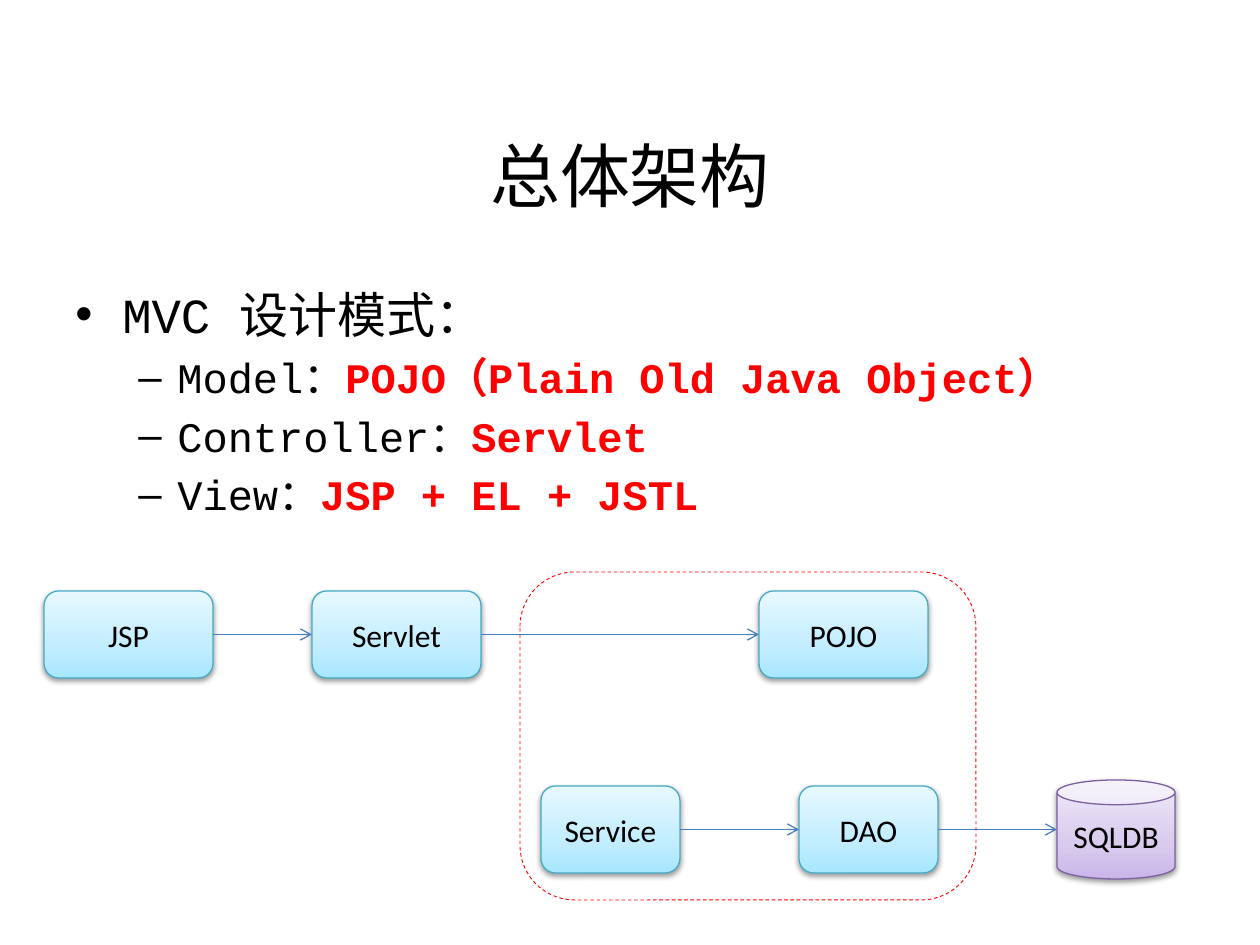
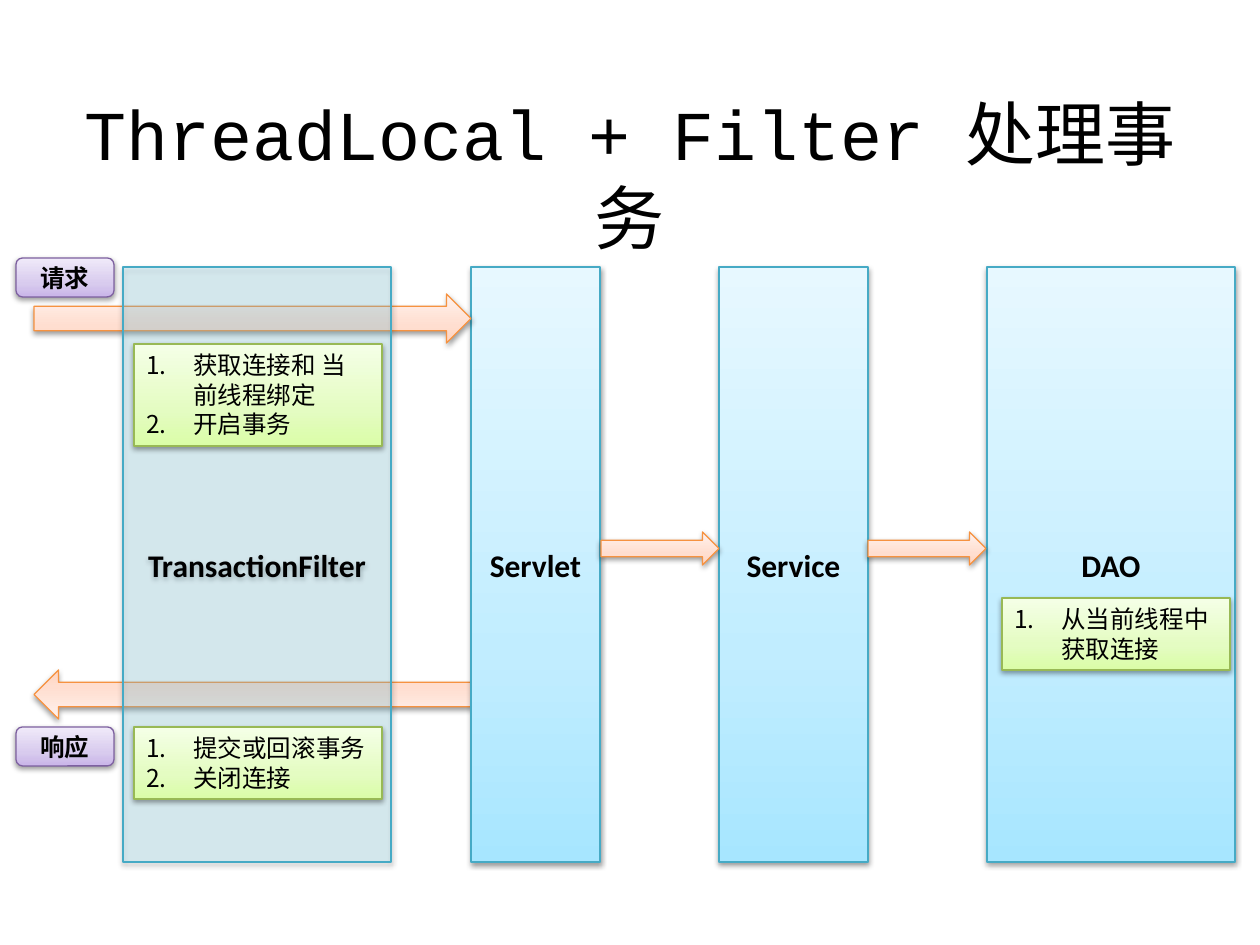
from collections import namedtuple

from lxml import etree
from pptx import Presentation
from pptx import util as u
from pptx.dml import color
from pptx.enum import dml, shapes, text
from pptx.oxml import ns

PX = 914400 / 126
COLORS = {"ink": "000000", "accent": "FF0000", "connector": "4B7EBC", "veil": "9EEAFF"}
PALETTES = {
    "aqua": ("46AAC5", ("A7E6FF", "C1EDFF", "E7F8FF")),
    "purple": ("7D60A0", ("C9B5E8", "D8CBEE", "F0EAF9")),
    "orange": ("F69240", ("FFD2BD", "FFDED0", "FFF2ED")),
    "green": ("98B955", ("DAFDA7", "E4FCC2", "F5FFE7")),
}
STOPS = (0, 35000, 100000)
CODE, LABEL = "Courier New", "Calibri"
KIND = shapes.MSO_SHAPE
CENTER = text.PP_ALIGN.CENTER
MIDDLE, TOP = text.MSO_ANCHOR.MIDDLE, text.MSO_ANCHOR.TOP
Box = namedtuple("Box", "x y w h")
TITLE = Box(63, 96, 1134, 157)


def px(value):
    return u.Emu(round(value * PX))


def emu(box):
    return [px(value) for value in box]


def inside(box, x, y, w, h):
    return Box(box.x + x, box.y + y, w, h)


def add(parent, tag, **attributes):
    element = etree.SubElement(parent, ns.qn("a:" + tag))
    for name, value in attributes.items():
        element.set(name, str(value))
    return element


def apply(target, formats):
    for name, value in formats.items():
        setattr(target, name, value)


def rgb(hex_color):
    return color.RGBColor.from_string(hex_color)


def write(paragraph, words, font, size, bold=False, ink="ink"):
    run = paragraph.add_run()
    run.text = words
    apply(run.font, {"name": font, "size": u.Pt(size), "bold": bold})
    run.font.color.rgb = rgb(COLORS[ink])


def hang(paragraph, margin, indent, bullet=None):
    properties = paragraph._p.get_or_add_pPr()
    properties.set("marL", str(px(margin)))
    properties.set("indent", str(-px(indent)))
    if bullet:
        add(properties, "buFont", typeface="Arial")
        add(properties, "buChar", char=bullet)
    else:
        add(properties, "buAutoNum", type="arabicPeriod")


def outline(shape, hex_color, width):
    shape.line.color.rgb = rgb(hex_color)
    shape.line.width = u.Pt(width)


def panel(slide, box, kind, palette, veiled=False):
    shape = slide.shapes.add_shape(kind, *emu(box))
    edge, tints = PALETTES[palette]
    properties = shape._element.spPr
    if veiled:
        shape.fill.solid()
        shape.fill.fore_color.rgb = rgb(COLORS["veil"])
        add(next(properties.iter(ns.qn("a:srgbClr"))), "alpha", val=25000)
    else:
        gradient = add(properties, "gradFill", rotWithShape=1)
        stops = add(gradient, "gsLst")
        for position, tint in zip(STOPS, tints):
            add(add(stops, "gs", pos=position), "srgbClr", val=tint)
        add(gradient, "lin", ang=16200000, scaled=0)
    outline(shape, edge, 0.75)
    shape.shadow.inherit = False
    effects = properties.find(ns.qn("a:effectLst"))
    shadow = add(effects, "outerShdw", blurRad=40000, dist=20000, dir=5400000, rotWithShape=0)
    add(add(shadow, "srgbClr", val=COLORS["ink"]), "alpha", val=38000)
    return shape


def labelled(slide, box, kind, palette, words, font=LABEL, size=18, bold=False, veiled=False):
    shape = panel(slide, box, kind, palette, veiled)
    apply(shape.text_frame, {"vertical_anchor": MIDDLE, "word_wrap": True})
    paragraph = shape.text_frame.paragraphs[0]
    paragraph.alignment = CENTER
    write(paragraph, words, font, size, bold)
    return shape


def paragraphs(frame, count):
    return [frame.paragraphs[0]] + [frame.add_paragraph() for _ in range(count - 1)]


def text_box(slide, box, anchor):
    frame = slide.shapes.add_textbox(*emu(box)).text_frame
    apply(frame, {"word_wrap": True, "vertical_anchor": anchor})
    return frame


def title(slide, box, words):
    paragraph = text_box(slide, box, MIDDLE).paragraphs[0]
    paragraph.alignment = CENTER
    write(paragraph, words, CODE, 40)


def pattern_list(slide, box):
    roles = [
        ("Model：", "POJO（Plain Old Java Object）"),
        ("Controller：", "Servlet"),
        ("View：", "JSP + EL + JSTL"),
    ]
    heading, *items = paragraphs(text_box(slide, box, TOP), len(roles) + 1)
    hang(heading, 47, 47, "•")
    heading.space_before = u.Pt(5.6)
    write(heading, "MVC 设计模式：", CODE, 28)
    for paragraph, (role, technology) in zip(items, roles):
        hang(paragraph, 102, 39, "–")
        apply(paragraph, {"level": 1, "space_before": u.Pt(4.8)})
        write(paragraph, role, CODE, 24)
        write(paragraph, technology, CODE, 24, True, "accent")


def arrow(slide, source, target, joined=True):
    y = source.top + source.height // 2
    connector = slide.shapes.add_connector(
        shapes.MSO_CONNECTOR.STRAIGHT, source.left + source.width, y, target.left, y)
    connector.begin_connect(source, 3)
    if joined:
        connector.end_connect(target, 1)
    outline(connector, COLORS["connector"], 0.75)
    add(connector.line._get_or_add_ln(), "tailEnd", type="arrow")
    add(connector._element.spPr, "effectLst")


def architecture(slide, box):
    nodes = {}
    for words, x, y, width in [
        ("JSP", 0, 19, 169), ("Servlet", 268, 19, 169), ("POJO", 715, 19, 169),
        ("Service", 497, 214, 139), ("DAO", 755, 214, 139),
    ]:
        nodes[words] = labelled(
            slide, inside(box, x, y, width, 87), KIND.ROUNDED_RECTANGLE, "aqua", words)
    database = labelled(slide, inside(box, 1013, 208, 118, 99), KIND.CAN, "purple", "SQLDB")
    for source, target in [("JSP", "Servlet"), ("Servlet", "POJO"), ("Service", "DAO")]:
        arrow(slide, nodes[source], nodes[target])
    arrow(slide, nodes["DAO"], database, joined=False)
    model = slide.shapes.add_shape(
        KIND.ROUNDED_RECTANGLE, *emu(inside(box, 476, 0, 456, box.h)))
    model.fill.background()
    outline(model, COLORS["accent"], 0.5)
    model.line.dash_style = dml.MSO_LINE.DASH
    model.shadow.inherit = False


def note(slide, box, steps):
    frame = panel(slide, box, KIND.RECTANGLE, "green").text_frame
    apply(frame, {"word_wrap": True, "vertical_anchor": TOP,
                  "auto_size": text.MSO_AUTO_SIZE.SHAPE_TO_FIT_TEXT})
    for paragraph, step in zip(paragraphs(frame, len(steps)), steps):
        paragraph.alignment = text.PP_ALIGN.LEFT
        hang(paragraph, 47, 47)
        write(paragraph, step, LABEL, 14)


def transaction(slide, box):
    def lane(words, x, width, veiled=False):
        labelled(slide, inside(box, x, 9, width, 595), KIND.RECTANGLE, "aqua",
                 words, bold=True, veiled=veiled)

    def block_arrow(x, y, width, height):
        return panel(slide, inside(box, x, y, width, height), KIND.RIGHT_ARROW, "orange")

    block_arrow(18, 412, 437, 49).rotation = 180
    for words, x, width in [("Servlet", 455, 129), ("Service", 703, 149), ("DAO", 971, 248)]:
        lane(words, x, width)
    block_arrow(18, 36, 437, 49)
    lane("TransactionFilter", 107, 268, veiled=True)
    for x, y, width, height, steps in [
        (118, 86, 248, 102, ["获取连接和 当前线程绑定", "开启事务"]),
        (986, 340, 228, 72, ["从当前线程中获取连接"]),
        (118, 469, 248, 72, ["提交或回滚事务", "关闭连接"]),
    ]:
        note(slide, inside(box, x, y, width, height), steps)
    for x in (585, 852):
        block_arrow(x, 274, 118, 33)
    for words, y in [("请求", 0), ("响应", 469)]:
        labelled(slide, inside(box, 0, y, 98, 39), KIND.ROUNDED_RECTANGLE, "purple",
                 words, CODE, 14, True)


def main():
    presentation = Presentation()
    apply(presentation, {"slide_width": px(1260), "slide_height": px(945)})
    blank = presentation.slide_layouts[6]

    overview = presentation.slides.add_slide(blank)
    title(overview, TITLE, "总体架构")
    pattern_list(overview, Box(63, 278, 1134, 273))
    architecture(overview, Box(44, 572, 1131, 328))

    filtering = presentation.slides.add_slide(blank)
    title(filtering, TITLE, "ThreadLocal + Filter 处理事务")
    transaction(filtering, Box(16, 258, 1220, 605))

    presentation.save("out.pptx")


if __name__ == "__main__":
    main()
